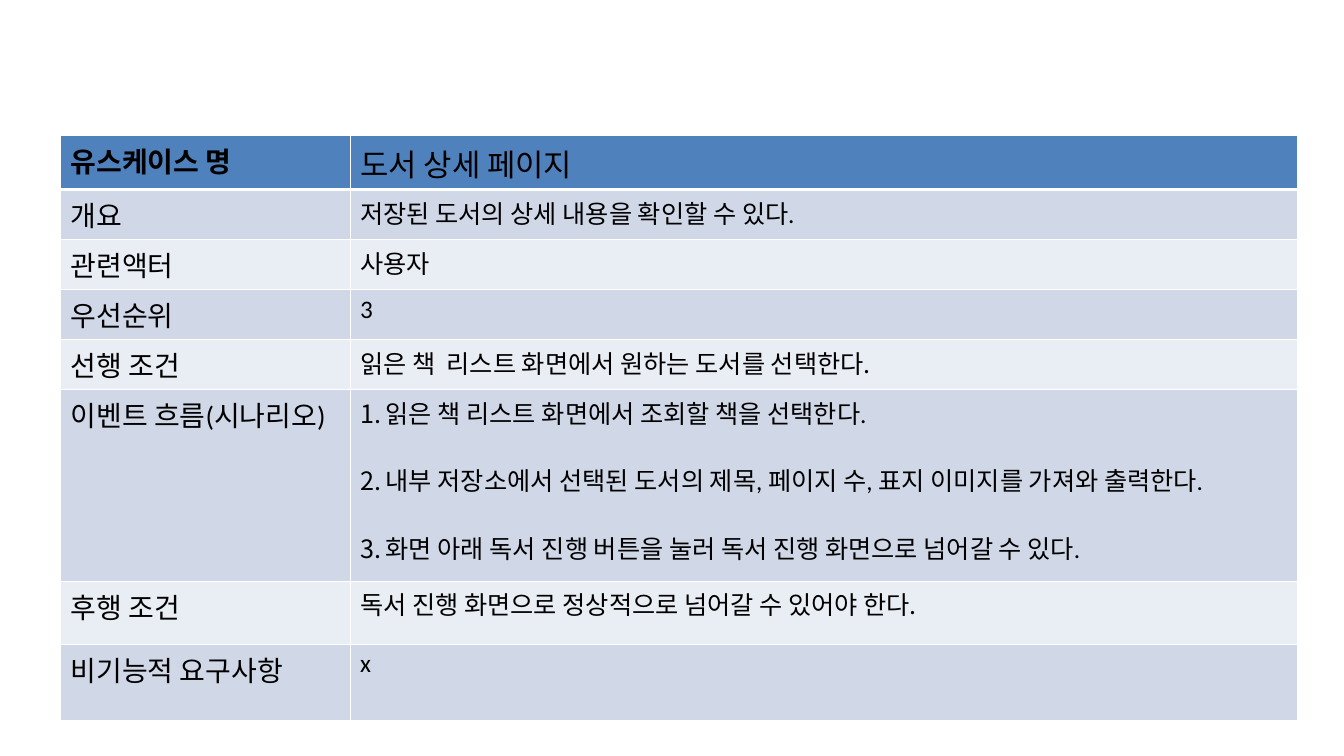
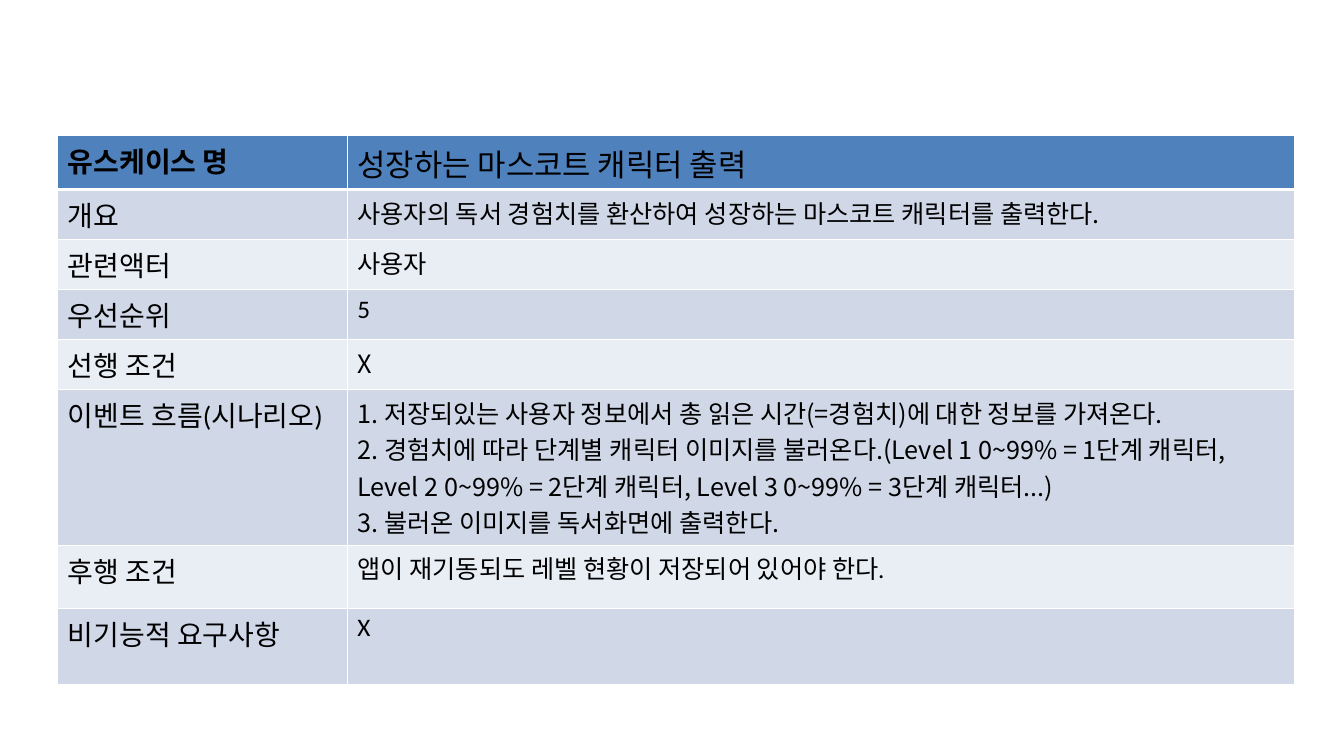
"""Builds two use case description slides, each one a two-column table."""
import pptx
import pptx.dml.color
import pptx.oxml.ns
import pptx.util
from lxml import etree

Inches, Pt = pptx.util.Inches, pptx.util.Pt
RGBColor = pptx.dml.color.RGBColor

HEADER_BLUE = RGBColor(0x4F, 0x81, 0xBD)
BAND_DARK = RGBColor(0xD0, 0xD8, 0xE8)
BAND_LIGHT = RGBColor(0xE9, 0xED, 0xF4)
WHITE = RGBColor(0xFF, 0xFF, 0xFF)
BLACK = RGBColor(0, 0, 0)
LATIN_FONT = "Calibri"
KOREAN_FONT = "Noto Sans CJK KR"

LABELS = ["유스케이스 명", "개요", "관련액터", "우선순위", "선행 조건",
          "이벤트 흐름(시나리오)", "후행 조건", "비기능적 요구사항"]
EVENT_ROW = LABELS.index("이벤트 흐름(시나리오)")
COLUMN_WIDTHS = [4.31, 14.09]
TABLE_TOP = 2.02

USE_CASES = [
    {
        "left": 0.9,
        "event_height": 2.85,
        "numbered": True,
        "korean_font_rows": {4, 6},
        "values": [
            "도서 상세 페이지",
            "저장된 도서의 상세 내용을 확인할 수 있다.",
            "사용자",
            "3",
            "읽은 책  리스트 화면에서 원하는 도서를 선택한다.",
            ["읽은 책 리스트 화면에서 조회할 책을 선택한다.",
             "내부 저장소에서 선택된 도서의 제목, 페이지 수, 표지 이미지를 가져와 출력한다.",
             "화면 아래 독서 진행 버튼을 눌러 독서 진행 화면으로 넘어갈 수 있다."],
            "독서 진행 화면으로 정상적으로 넘어갈 수 있어야 한다.",
            "x",
        ],
    },
    {
        "left": 0.86,
        "event_height": 1.95,
        "numbered": False,
        "korean_font_rows": {0, 1, 4, 5},
        "values": [
            "성장하는 마스코트 캐릭터 출력",
            "사용자의 독서 경험치를 환산하여 성장하는 마스코트 캐릭터를 출력한다.",
            "사용자",
            "5",
            "X",
            ["1. 저장되있는 사용자 정보에서 총 읽은 시간(=경험치)에 대한 정보를 가져온다.",
             "2. 경험치에 따라 단계별 캐릭터 이미지를 불러온다.(Level 1 0~99% = 1단계 캐릭터, "
             "Level 2 0~99% = 2단계 캐릭터, Level 3 0~99% = 3단계 캐릭터...)",
             "3. 불러온 이미지를 독서화면에 출력한다."],
            "앱이 재기동되도 레벨 현황이 저장되어 있어야 한다.",
            "X",
        ],
    },
]


def add_child(parent, tag, **attributes):
    return etree.SubElement(parent, pptx.oxml.ns.qn(tag), attributes)


def number_step(para):
    properties = para._p.get_or_add_pPr()
    properties.set("marL", str(Inches(0.38)))
    properties.set("indent", str(-Inches(0.38)))
    para.space_after = Pt(33)
    add_child(properties, "a:buFont", typeface="+mj-lt")
    add_child(properties, "a:buAutoNum", type="arabicPeriod")


def style_cell(cell, fill, is_header):
    cell.margin_left = cell.margin_right = Inches(0.15)
    cell.margin_top = cell.margin_bottom = Inches(0.07)
    properties = cell._tc.get_or_add_tcPr()
    for side in "LRTB":
        width = Pt(3 if is_header and side == "B" else 1)
        line = add_child(properties, f"a:ln{side}", w=str(width))
        add_child(add_child(line, "a:solidFill"), "a:srgbClr", val=str(WHITE))
    cell.fill.solid()
    cell.fill.fore_color.rgb = fill


def write_cell(cell, text, size, font, bold=False, numbered=False):
    lines = text if isinstance(text, list) else [text]
    cell.text_frame.text = "\n".join(lines)
    for para in cell.text_frame.paragraphs:
        if numbered:
            number_step(para)
        for span in para.runs:
            span.font.size = Pt(size)
            span.font.bold = bold
            span.font.color.rgb = BLACK
            span.font.name = font
            add_child(span.font._element, "a:ea", typeface=KOREAN_FONT)


def add_use_case(deck, use_case):
    page = deck.slides.add_slide(deck.slide_layouts[6])
    heights = [0.7] + [0.65] * 4 + [use_case["event_height"], 0.94, 1.14]
    frame = page.shapes.add_table(
        len(LABELS), len(COLUMN_WIDTHS), Inches(use_case["left"]), Inches(TABLE_TOP),
        Inches(sum(COLUMN_WIDTHS)), Inches(sum(heights)))
    table = frame.table
    for column, width in zip(table.columns, COLUMN_WIDTHS):
        column.width = Inches(width)
    for index, (label, value) in enumerate(zip(LABELS, use_case["values"])):
        is_header = index == 0
        table.rows[index].height = Inches(heights[index])
        fill = HEADER_BLUE if is_header else BAND_DARK if index % 2 else BAND_LIGHT
        label_cell, value_cell = table.cell(index, 0), table.cell(index, 1)
        for cell in (label_cell, value_cell):
            style_cell(cell, fill, is_header)
        font = KOREAN_FONT if index in use_case["korean_font_rows"] else LATIN_FONT
        write_cell(label_cell, label, 30, LATIN_FONT, bold=is_header)
        write_cell(value_cell, value, 33 if is_header else 27, font,
                   numbered=use_case["numbered"] and index == EVENT_ROW)


def main():
    deck = pptx.Presentation()
    deck.slide_width, deck.slide_height = Inches(20), Inches(11.25)
    for use_case in USE_CASES:
        add_use_case(deck, use_case)
    deck.save("out.pptx")


if __name__ == "__main__":
    main()
